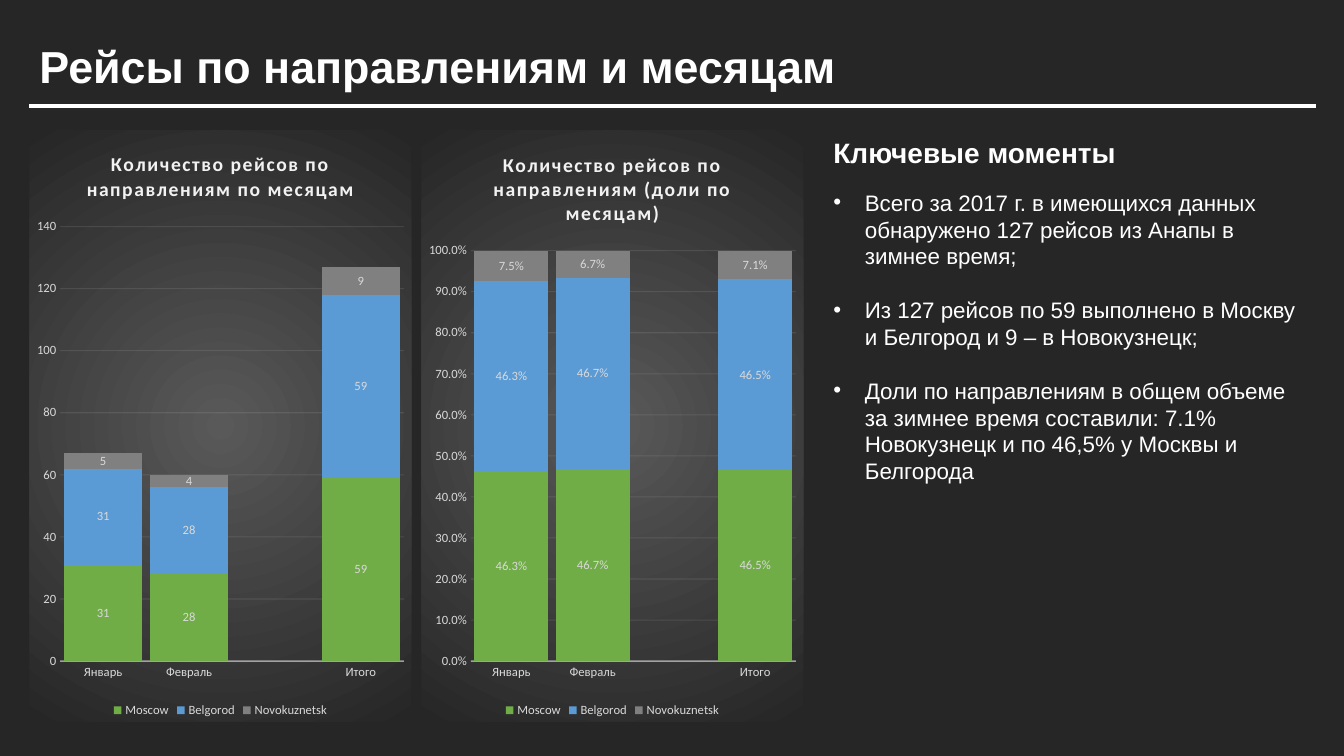
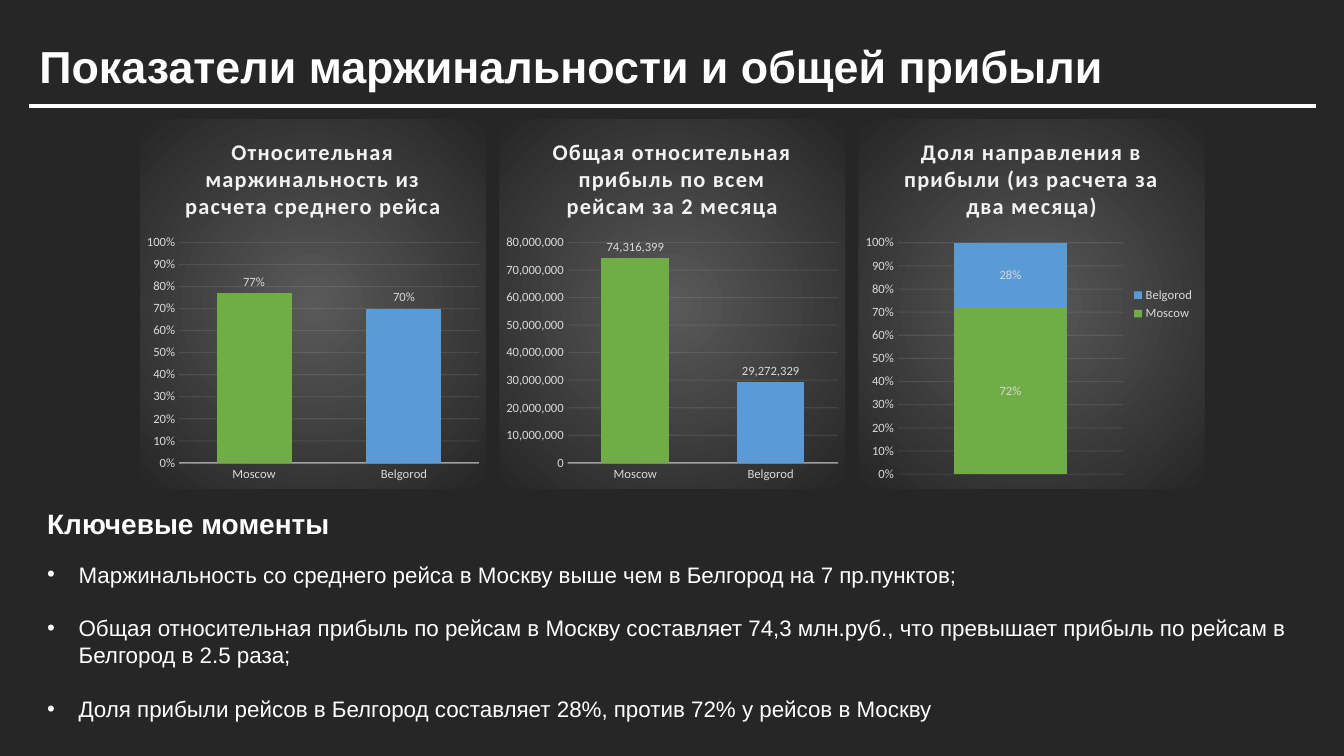
from lxml.etree import SubElement
from pptx import Presentation
from pptx.chart.data import CategoryChartData
from pptx.dml.color import RGBColor
from pptx.enum.chart import XL_CHART_TYPE, XL_LABEL_POSITION, XL_LEGEND_POSITION, XL_TICK_MARK
from pptx.enum.shapes import MSO_CONNECTOR
from pptx.enum.text import MSO_ANCHOR, MSO_AUTO_SIZE, PP_ALIGN
from pptx.oxml import parse_xml
from pptx.oxml.ns import nsdecls, qn
from pptx.util import Pt

BACKGROUND = RGBColor(0x26, 0x26, 0x26)
GLOW = RGBColor(0x59, 0x59, 0x59)
WHITE = RGBColor(0xFF, 0xFF, 0xFF)
PALE = RGBColor(0xF2, 0xF2, 0xF2)
LABEL = RGBColor(0xD9, 0xD9, 0xD9)
GREEN = RGBColor(0x70, 0xAD, 0x47)
BLUE = RGBColor(0x5B, 0x9B, 0xD5)
GRAY = RGBColor(0x80, 0x80, 0x80)
CITY_COLORS = [GREEN, BLUE, GRAY]
CITIES = ["Moscow", "Belgorod", "Novokuznetsk"]
MONTHS = ["Январь", "Февраль", "", "Итого"]

TITLE = {"name": "Arial", "size": Pt(32), "bold": True, "color": WHITE}
HEADING = {"name": "Arial", "size": Pt(20), "bold": True, "color": WHITE}
BODY = {"name": "Arial", "size": Pt(16), "bold": False, "color": WHITE}
CHART_TEXT = {"name": "Calibri", "size": Pt(9), "bold": False, "color": LABEL}
CHART_TITLE = {"name": "Calibri", "bold": True, "color": PALE}

MARGIN = 21
CONTENT_WIDTH = 918.7
RULE_TOP = 75.6
INDENT = 22.5


def format_font(font, style):
    for name, value in style.items():
        if name == "color":
            font.color.rgb = value
        else:
            setattr(font, name, value)


def set_line(line, color, width, opacity):
    line.color.rgb = color
    line.width = Pt(width)
    color_element = line.fill._xPr.find(".//" + qn("a:srgbClr"))
    SubElement(color_element, qn("a:alpha"), val=str(opacity * 1000))


def glow_fill():
    return parse_xml(
        f'<c:spPr {nsdecls("c", "a")}><a:gradFill><a:gsLst>'
        f'<a:gs pos="0"><a:srgbClr val="{GLOW}"/></a:gs>'
        f'<a:gs pos="100000"><a:srgbClr val="{BACKGROUND}"/></a:gs></a:gsLst>'
        '<a:path path="circle"><a:fillToRect l="50000" t="50000" r="50000" b="50000"/></a:path>'
        '</a:gradFill><a:ln><a:noFill/></a:ln></c:spPr>'
    )


def text_shadow():
    return parse_xml(
        f'<a:effectLst {nsdecls("a")}><a:outerShdw blurRad="38100" dist="38100" '
        'dir="2700000" algn="tl"><a:srgbClr val="000000"><a:alpha val="43000"/>'
        '</a:srgbClr></a:outerShdw></a:effectLst>'
    )


class Report:
    def __init__(self):
        self.deck = Presentation()
        self.deck.slide_width, self.deck.slide_height = Pt(960), Pt(540)
        self.page = None

    def start_page(self, title):
        self.page = self.deck.slides.add_slide(self.deck.slide_layouts[5])
        fill = self.page.background.fill
        fill.solid()
        fill.fore_color.rgb = BACKGROUND
        box = self.page.shapes.title
        box.left, box.top, box.width, box.height = map(Pt, (MARGIN, 23.8, CONTENT_WIDTH, 46))
        frame = box.text_frame
        frame.word_wrap = True
        frame.auto_size = MSO_AUTO_SIZE.NONE
        frame.vertical_anchor = MSO_ANCHOR.TOP
        frame.paragraphs[0].alignment = PP_ALIGN.LEFT
        self.add_span(frame.paragraphs[0], title, TITLE)
        self.add_rule()

    def add_rule(self):
        ends = map(Pt, (MARGIN, RULE_TOP, MARGIN + CONTENT_WIDTH, RULE_TOP))
        rule = self.page.shapes.add_connector(MSO_CONNECTOR.STRAIGHT, *ends)
        rule.line.color.rgb = WHITE
        rule.line.width = Pt(3)
        SubElement(rule._element.spPr, qn("a:effectLst"))

    def add_span(self, para, text, style):
        span = para.add_run()
        span.text = text
        format_font(span.font, style)
        span._r.get_or_add_rPr().find(qn("a:solidFill")).addnext(text_shadow())

    def add_key_points(self, area, points):
        frame = self.page.shapes.add_textbox(*map(Pt, area)).text_frame
        frame.word_wrap = True
        heading = frame.paragraphs[0]
        heading.line_spacing = Pt(24)
        heading.space_after = Pt(14.4)
        self.add_span(heading, "Ключевые моменты", HEADING)
        for index, point in enumerate(points):
            para = frame.add_paragraph()
            para.line_spacing = Pt(19.2)
            para.space_before = Pt(19.2 if index else 0)
            properties = para._p.get_or_add_pPr()
            properties.set("marL", str(Pt(INDENT)))
            properties.set("indent", str(-Pt(INDENT)))
            SubElement(properties, qn("a:buFont"), typeface="Arial")
            SubElement(properties, qn("a:buChar"), char="•")
            self.add_span(para, point, BODY)

    def add_columns(self, area, title, title_size, categories, series, number_format,
                    stacked=True, gap=100, maximum=None, legend=None):
        data = CategoryChartData(number_format=number_format)
        data.categories = categories
        for name, values in series:
            data.add_series(name, values)
        kind = XL_CHART_TYPE.COLUMN_STACKED if stacked else XL_CHART_TYPE.COLUMN_CLUSTERED
        chart = self.page.shapes.add_chart(kind, *map(Pt, area), data).chart
        format_font(chart.font, CHART_TEXT)
        chart.element.find(qn("c:chart")).addnext(glow_fill())
        self.format_chart_title(chart, title, title_size)
        self.format_axes(chart, number_format, maximum)
        self.format_series(chart.plots[0], number_format, stacked, gap)
        chart.has_legend = legend is not None
        if legend is not None:
            chart.legend.position = legend
            chart.legend.include_in_layout = False
            format_font(chart.legend.font, CHART_TEXT)
        return chart

    def format_chart_title(self, chart, title, size):
        chart.has_title = True
        chart.chart_title.include_in_layout = False
        span = chart.chart_title.text_frame.paragraphs[0].add_run()
        span.text = title
        format_font(span.font, {**CHART_TITLE, "size": Pt(size)})
        span._r.get_or_add_rPr().set("spc", "100")

    def format_axes(self, chart, number_format, maximum):
        for axis in (chart.category_axis, chart.value_axis):
            axis.major_tick_mark = axis.minor_tick_mark = XL_TICK_MARK.NONE
            format_font(axis.tick_labels.font, CHART_TEXT)
        set_line(chart.category_axis.format.line, PALE, 1, 54)
        values = chart.value_axis
        values.minimum_scale = 0
        if maximum is not None:
            values.maximum_scale = maximum
        values.format.line.fill.background()
        values.has_major_gridlines = True
        set_line(values.major_gridlines.format.line, PALE, 0.75, 10)
        values.tick_labels.number_format = number_format
        values.tick_labels.number_format_is_linked = False

    def format_series(self, plot, number_format, stacked, gap):
        plot.gap_width = gap
        plot.overlap = 100 if stacked else -24
        plot.vary_by_categories = False
        for series, color in zip(plot.series, CITY_COLORS):
            series.format.fill.solid()
            series.format.fill.fore_color.rgb = color
            if not stacked:
                for index, point_color in enumerate(CITY_COLORS[:len(series.values)]):
                    fill = series.points[index].format.fill
                    fill.solid()
                    fill.fore_color.rgb = point_color
            labels = series.data_labels
            format_font(labels.font, CHART_TEXT)
            label_format = {
                "show_value": True,
                "number_format": number_format,
                "number_format_is_linked": False,
                "position": XL_LABEL_POSITION.CENTER if stacked else XL_LABEL_POSITION.OUTSIDE_END,
            }
            for name, value in label_format.items():
                setattr(labels, name, value)


def build_flights(report):
    report.start_page("Рейсы по направлениям и месяцам")
    charts = [
        ("Количество рейсов по направлениям по месяцам", "General", None,
         [(31, 28, None, 59), (31, 28, None, 59), (5, 4, None, 9)]),
        ("Количество рейсов по направлениям (доли по месяцам)", "0.0%", 1,
         [(0.463, 0.467, None, 0.465), (0.463, 0.467, None, 0.465),
          (0.075, 0.067, None, 0.071)]),
    ]
    for index, (title, number_format, maximum, rows) in enumerate(charts):
        report.add_columns((MARGIN + 280 * index, 92.9, 272.9, 422.6), title, 14, MONTHS,
                           zip(CITIES, rows), number_format, gap=10, maximum=maximum,
                           legend=XL_LEGEND_POSITION.BOTTOM)
    report.add_key_points((588.2, 92.9, 351.4, 259), [
        "Всего за 2017 г. в имеющихся данных обнаружено 127 рейсов из Анапы в зимнее время;",
        "Из 127 рейсов по 59 выполнено в Москву и Белгород и 9 – в Новокузнецк;",
        "Доли по направлениям в общем объеме за зимнее время составили: 7.1% Новокузнецк "
        "и по 46,5% у Москвы и Белгорода",
    ])


def build_profit(report):
    report.start_page("Показатели маржинальности и общей прибыли")
    areas = [(100 + 256.7 * index, 85.7, 247, 263.5) for index in range(3)]
    report.add_columns(areas[0], "Относительная маржинальность из расчета среднего рейса", 16,
                       CITIES[:2], [("Маржинальность", (0.77, 0.7))], "0%",
                       stacked=False, maximum=1)
    report.add_columns(areas[1], "Общая относительная прибыль по всем рейсам за 2 месяца", 16,
                       CITIES[:2], [("Прибыль", (74316399, 29272329))], "#,##0",
                       stacked=False)
    shares = report.add_columns(areas[2], "Доля направления в прибыли (из расчета за два месяца)",
                                16, ["1"], zip(CITIES, [(0.72,), (0.28,)]), "0%",
                                maximum=1, legend=XL_LEGEND_POSITION.RIGHT)
    shares.category_axis.visible = False
    report.add_key_points((26.6, 358.6, 906.5, 162.7), [
        "Маржинальность со среднего рейса в Москву выше чем в Белгород на 7 пр.пунктов;",
        "Общая относительная прибыль по рейсам в Москву составляет 74,3 млн.руб., "
        "что превышает прибыль по рейсам в Белгород в 2.5 раза;",
        "Доля прибыли рейсов в Белгород составляет 28%, против 72% у рейсов в Москву",
    ])


def main():
    report = Report()
    build_flights(report)
    build_profit(report)
    report.deck.save("out.pptx")


if __name__ == "__main__":
    main()
